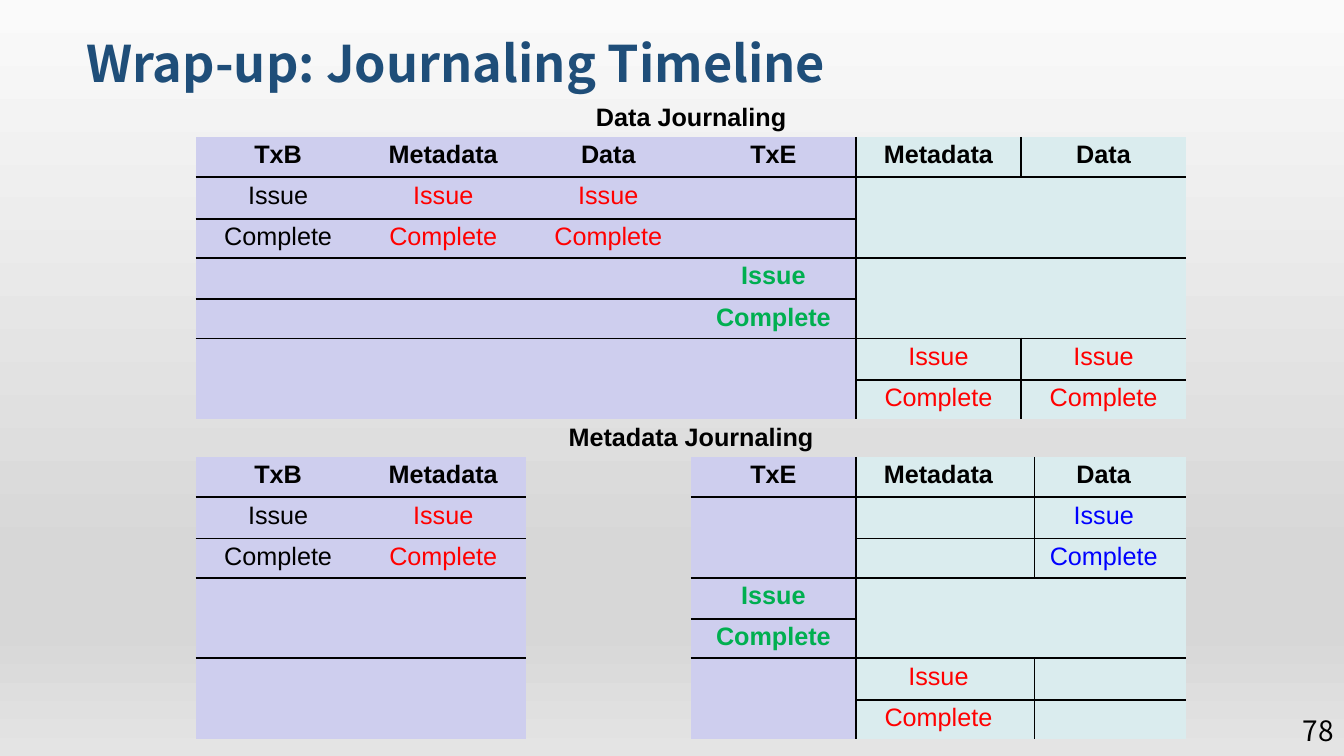
from dataclasses import dataclass
from itertools import product

from lxml.etree import SubElement
from pptx import Presentation
from pptx.dml.color import RGBColor as RGB
from pptx.enum.text import MSO_ANCHOR as Anchor, PP_ALIGN as Align
from pptx.oxml import parse_xml
from pptx.oxml.ns import nsdecls, qn
from pptx.slide import Slide
from pptx.table import _Cell as Cell
from pptx.util import Cm, Pt


@dataclass(frozen=True)
class Theme:
    title_font: str = "Noto Sans CJK TC"
    body_font: str = "Arial"
    title_size: int = 36
    number_size: int = 20
    body_size: int = 18
    navy: str = "1F4E79"
    black: str = "000000"
    red: str = "FF0000"
    green: str = "00AF50"
    blue: str = "0000FF"
    journal: str = "CECEEE"
    disk: str = "DAECEE"
    rule_width: float = 1.5
    backdrop: tuple = ((0, "FAFAFA"), (74, "D7D7D7"), (83, "D7D7D7"), (100, "E4E4E4"))


@dataclass(frozen=True)
class Label:
    text: str
    left: float
    top: float
    width: float
    height: float
    font: str
    size: int
    color: str
    bold: bool = True
    align: Align = Align.LEFT
    anchor: Anchor = Anchor.TOP
    insets: tuple = (0.25, 0.13)
    line_spacing: float = 1.0


@dataclass(frozen=True)
class Write:
    """An issue and its completion, in two rows of one column."""
    column: int
    row: int
    color: str
    bold: bool = False


@dataclass(frozen=True)
class Span:
    row: int
    column: int
    rows: int
    columns: int


@dataclass(frozen=True)
class Timeline:
    left: float
    top: float
    headings: tuple
    widths: tuple
    heights: tuple
    first_disk_column: int
    writes: tuple
    spans: tuple
    disk_inset: float = 0


THEME = Theme()
LEFT, COLUMN = 4.93, 4.16
DATA_TOP, METADATA_TOP = 3.45, 11.51
HEADING, ISSUE, COMPLETE = 1.02, 1.04, 0.99
STEP_ROWS = (HEADING, *(ISSUE, COMPLETE) * 3)


def caption(text: str, left: float, top: float, width: float) -> Label:
    """Describe the heading above a timeline."""
    return Label(text, left, top, width, 0.84, THEME.body_font, THEME.body_size,
                 THEME.black, insets=(0.03, 0.05))


LABELS = (
    Label("Wrap-up: Journaling Timeline", 1.93, 0.53, 28.73, 1.96, THEME.title_font,
          THEME.title_size, THEME.navy, anchor=Anchor.BOTTOM, line_spacing=0.9),
    Label("78", 30.68, 18.14, 3.18, 0.51, THEME.title_font, THEME.number_size,
          THEME.black, bold=False, align=Align.RIGHT, anchor=Anchor.MIDDLE),
    caption("Data Journaling", 14.99, 2.51, 4.88),
    caption("Metadata Journaling", 14.3, 10.57, 6.25),
)

TIMELINES = (
    Timeline(
        LEFT, DATA_TOP, ("TxB", "Metadata", "Data", "TxE", "Metadata", "Data"),
        (COLUMN,) * 6, STEP_ROWS, 4,
        (Write(0, 1, THEME.black), Write(1, 1, THEME.red), Write(2, 1, THEME.red),
         Write(3, 3, THEME.green, True), Write(4, 5, THEME.red), Write(5, 5, THEME.red)),
        (Span(1, 4, 2, 2), Span(3, 4, 2, 2), Span(5, 0, 2, 4))),
    Timeline(
        LEFT, METADATA_TOP, ("TxB", "Metadata"), (COLUMN,) * 2,
        (HEADING, ISSUE, COMPLETE, ISSUE + COMPLETE, ISSUE + COMPLETE), 2,
        (Write(0, 1, THEME.black), Write(1, 1, THEME.red)),
        (Span(3, 0, 1, 2), Span(4, 0, 1, 2))),
    Timeline(
        LEFT + 3 * COLUMN, METADATA_TOP, ("TxE", "Metadata", "Data"),
        (COLUMN, 4.5, 3.83), STEP_ROWS, 1,
        (Write(2, 1, THEME.blue), Write(0, 3, THEME.green, True), Write(1, 5, THEME.red)),
        (Span(1, 0, 2, 1), Span(3, 1, 2, 2), Span(5, 0, 2, 1)), disk_inset=0.34),
)


def paint_background(slide: Slide) -> None:
    """Fill the background with a vertical grey gradient."""
    fill = slide.background.fill
    fill.gradient()
    fill.gradient_angle = 270
    stops = slide.background._cSld.find(".//" + qn("a:gsLst"))
    for stop in list(stops):
        stops.remove(stop)
    for position, color in THEME.backdrop:
        stop = SubElement(stops, qn("a:gs"), pos=str(position * 1000))
        SubElement(stop, qn("a:srgbClr"), val=color)


def add_label(slide: Slide, label: Label) -> None:
    """Place one line of text."""
    frame = slide.shapes.add_textbox(
        Cm(label.left), Cm(label.top), Cm(label.width), Cm(label.height)).text_frame
    frame.word_wrap = True
    frame.vertical_anchor = label.anchor
    side, top = label.insets
    frame.margin_left = frame.margin_right = Cm(side)
    frame.margin_top = frame.margin_bottom = Cm(top)
    line = frame.paragraphs[0]
    line.text, line.alignment, line.line_spacing = label.text, label.align, label.line_spacing
    line.font.name, line.font.size, line.font.bold = label.font, Pt(label.size), label.bold
    line.font.color.rgb = RGB.from_string(label.color)


def write_cell(cell: Cell, text: str, color: str, bold: bool, space: float = 3.1) -> None:
    """Write centred text into a cell."""
    line = cell.text_frame.paragraphs[0]
    line.text, line.alignment, line.space_before = text, Align.CENTER, Pt(space)
    line.font.name, line.font.size, line.font.bold = THEME.body_font, Pt(THEME.body_size), bold
    line.font.color.rgb = RGB.from_string(color)


def rule_cell(cell: Cell, sides: dict[str, bool]) -> None:
    """Draw the ruled sides of a cell and clear the others."""
    properties = cell._tc.get_or_add_tcPr()
    for index, (side, ruled) in enumerate(sides.items()):
        paint = (f'<a:solidFill><a:srgbClr val="{THEME.black}"/></a:solidFill>'
                 if ruled else "<a:noFill/>")
        properties.insert(index, parse_xml(
            f'<a:ln{side} {nsdecls("a")} w="{Pt(THEME.rule_width)}">{paint}</a:ln{side}>'))


def add_timeline(slide: Slide, timeline: Timeline) -> None:
    """Draw one timeline, ruled between steps and between disk columns."""
    rows, columns = len(timeline.heights), len(timeline.widths)
    grid = slide.shapes.add_table(
        rows, columns, Cm(timeline.left), Cm(timeline.top),
        Cm(sum(timeline.widths)), Cm(sum(timeline.heights))).table
    grid.first_row = grid.horz_banding = False
    for column, width in zip(grid.columns, timeline.widths):
        column.width = Cm(width)
    for row, height in zip(grid.rows, timeline.heights):
        row.height = Cm(height)

    owner = {place: place for place in product(range(rows), range(columns))}
    for span in timeline.spans:
        bottom, right = span.row + span.rows, span.column + span.columns
        for place in product(range(span.row, bottom), range(span.column, right)):
            owner[place] = (span.row, span.column)
        grid.cell(span.row, span.column).merge(grid.cell(bottom - 1, right - 1))

    def parted(first: tuple[int, int], second: tuple[int, int]) -> bool:
        """Tell whether two neighbours lie in separate cells of the grid."""
        return first in owner and second in owner and owner[first] != owner[second]

    for row, column in owner:
        cell, place = grid.cell(row, column), (row, column)
        on_disk = column >= timeline.first_disk_column
        cell.margin_left = cell.margin_bottom = 0
        cell.margin_right = Cm(timeline.disk_inset if on_disk else 0)
        cell.margin_top = Cm(0.1)
        cell.fill.solid()
        cell.fill.fore_color.rgb = RGB.from_string(THEME.disk if on_disk else THEME.journal)
        rule_cell(cell, {
            "L": on_disk and parted(place, (row, column - 1)),
            "R": column + 1 >= timeline.first_disk_column and parted(place, (row, column + 1)),
            "T": parted(place, (row - 1, column)),
            "B": parted(place, (row + 1, column)),
        })

    for column, heading in enumerate(timeline.headings):
        write_cell(grid.cell(0, column), heading, THEME.black, True)
    for write in timeline.writes:
        for offset, (text, space) in enumerate((("Issue", 3.1), ("Complete", 2.6))):
            write_cell(grid.cell(write.row + offset, write.column), text,
                       write.color, write.bold, space)


def main() -> None:
    """Build the slide and save it."""
    deck = Presentation()
    deck.slide_width, deck.slide_height = Cm(33.87), Cm(19.05)
    slide = deck.slides.add_slide(deck.slide_layouts[6])
    paint_background(slide)
    for label in LABELS:
        add_label(slide, label)
    for timeline in TIMELINES:
        add_timeline(slide, timeline)
    deck.save("out.pptx")


if __name__ == "__main__":
    main()
